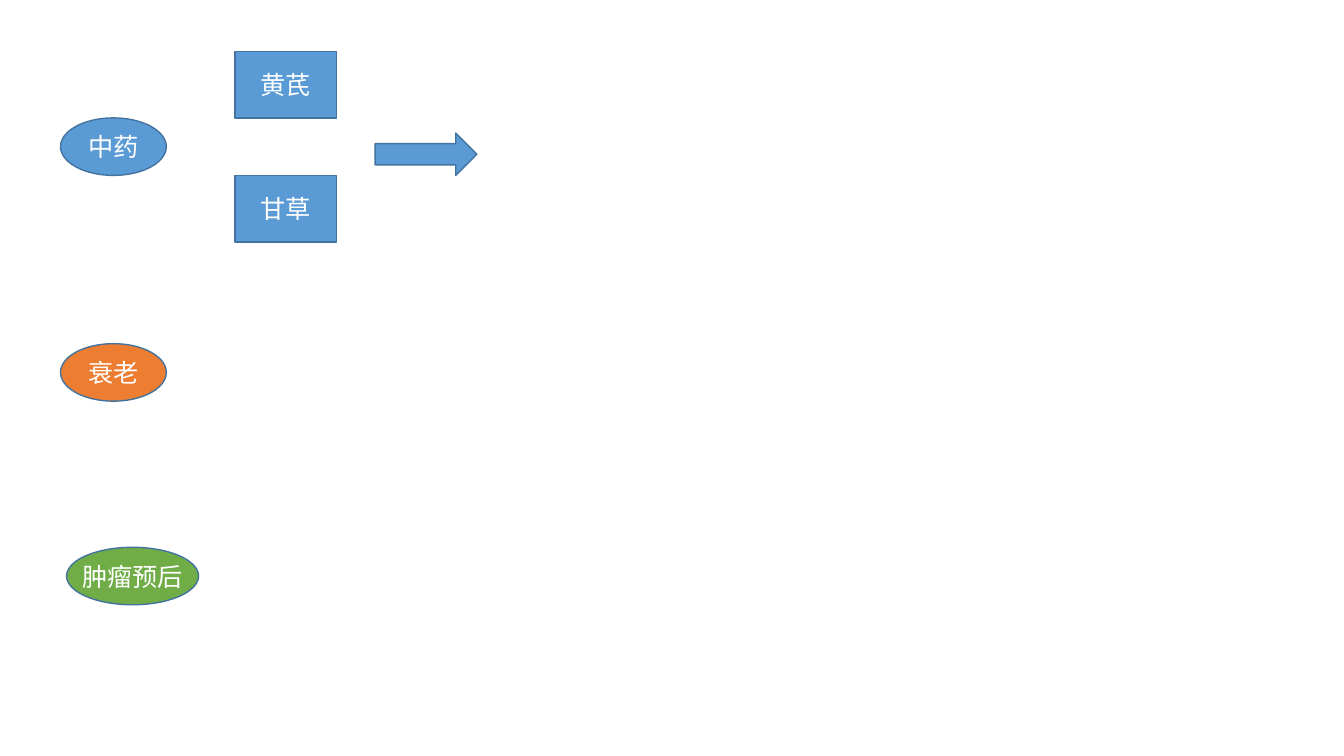
from dataclasses import dataclass

from lxml.etree import SubElement
from pptx import Presentation
from pptx.dml.color import RGBColor
from pptx.enum.shapes import MSO_SHAPE
from pptx.enum.text import MSO_ANCHOR, PP_ALIGN
from pptx.oxml.ns import qn
from pptx.slide import Slide
from pptx.util import Inches, Pt

BLUE = RGBColor(0x5B, 0x9B, 0xD5)
ORANGE = RGBColor(0xED, 0x7D, 0x31)
GREEN = RGBColor(0x70, 0xAD, 0x47)
OUTLINE = RGBColor(0x43, 0x73, 0x9E)
WHITE = RGBColor(0xFF, 0xFF, 0xFF)
FONT = "Noto Sans CJK SC"


@dataclass(frozen=True)
class Node:
    kind: MSO_SHAPE
    left: float
    top: float
    width: float
    height: float
    fill: RGBColor
    label: str = ""


NODES = [
    Node(MSO_SHAPE.RECTANGLE, 2.33, 0.51, 1.01, 0.66, BLUE, "黄芪"),
    Node(MSO_SHAPE.RECTANGLE, 2.33, 1.74, 1.01, 0.66, BLUE, "甘草"),
    Node(MSO_SHAPE.RIGHT_ARROW, 3.72, 1.32, 1.01, 0.42, BLUE),
    Node(MSO_SHAPE.OVAL, 0.6, 1.17, 1.05, 0.57, BLUE, "中药"),
    Node(MSO_SHAPE.OVAL, 0.6, 3.41, 1.05, 0.57, ORANGE, "衰老"),
    Node(MSO_SHAPE.OVAL, 0.66, 5.43, 1.31, 0.57, GREEN, "肿瘤预后"),
]


def draw_node(page: Slide, node: Node) -> None:
    shape = page.shapes.add_shape(
        node.kind,
        Inches(node.left),
        Inches(node.top),
        Inches(node.width),
        Inches(node.height),
    )
    shape.shadow.inherit = False
    shape.fill.solid()
    shape.fill.fore_color.rgb = node.fill
    shape.line.color.rgb = OUTLINE
    shape.line.width = Pt(1)
    if not node.label:
        return
    frame = shape.text_frame
    frame.text = node.label
    frame.word_wrap = False
    frame.vertical_anchor = MSO_ANCHOR.MIDDLE
    para = frame.paragraphs[0]
    para.alignment = PP_ALIGN.CENTER
    span = para.runs[0]
    span.font.size = Pt(18)
    span.font.color.rgb = WHITE
    span.font.name = FONT
    SubElement(span.font._element, qn("a:ea"), typeface=FONT)


def main() -> None:
    deck = Presentation()
    deck.slide_width = Inches(13.33)
    deck.slide_height = Inches(7.5)
    page = deck.slides.add_slide(deck.slide_layouts[6])
    for node in NODES:
        draw_node(page, node)
    deck.save("out.pptx")


if __name__ == "__main__":
    main()
